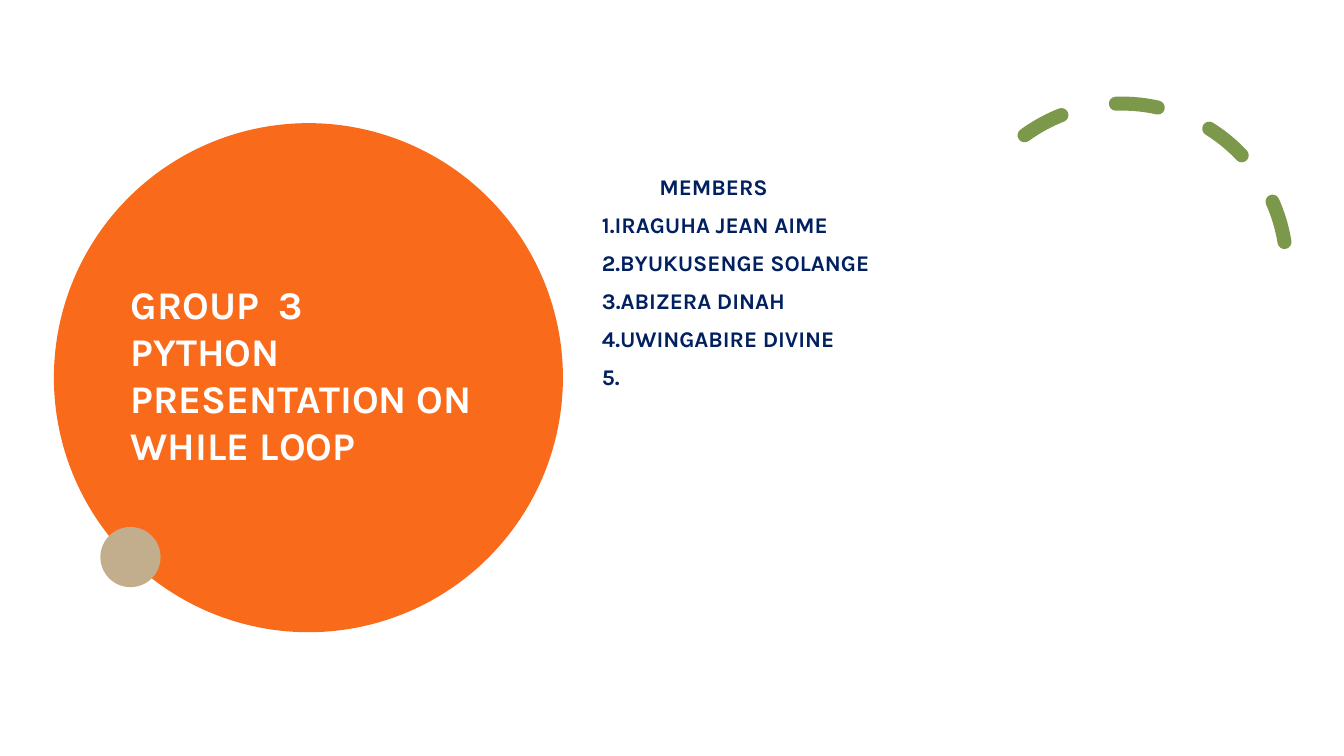
from lxml import etree
from pptx import Presentation
from pptx.dml.color import RGBColor
from pptx.enum.dml import MSO_LINE
from pptx.enum.shapes import MSO_SHAPE
from pptx.enum.text import MSO_ANCHOR
from pptx.util import Pt

ELLIPSE, ARC = MSO_SHAPE.OVAL, MSO_SHAPE.ARC
TOP, MIDDLE = MSO_ANCHOR.TOP, MSO_ANCHOR.MIDDLE
DASH = MSO_LINE.DASH

ORANGE = RGBColor(0xF9, 0x6A, 0x1B)
WHITE = RGBColor(0xFF, 0xFF, 0xFF)
NAVY = RGBColor(0x00, 0x20, 0x60)
GREEN = RGBColor(0x7C, 0x98, 0x4A)
SAND = RGBColor(0xC2, 0xAD, 0x8D)

MEMBERS = [
    "1.IRAGUHA JEAN AIME",
    "2.BYUKUSENGE SOLANGE",
    "3.ABIZERA DINAH",
    "4.UWINGABIRE DIVINE",
    "5.",
]


class SlideBuilder:
    font = "Karla"

    def __init__(self, slide):
        self.slide = slide

    def shape(self, kind, left, top, size):
        shape = self.slide.shapes.add_shape(kind, Pt(left), Pt(top), Pt(size), Pt(size))
        shape.shadow.inherit = False
        return shape

    def circle(self, left, top, size, color):
        circle = self.shape(ELLIPSE, left, top, size)
        circle.fill.solid()
        circle.fill.fore_color.rgb = color
        circle.line.fill.background()

    def dashed_arc(self, left, top, size, rotation, start, end, color, weight):
        """Draw a round-capped dashed arc; start and end are in degrees."""
        arc = self.shape(ARC, left, top, size)
        arc.rotation = rotation
        for index, angle in enumerate((start, end)):
            arc.adjustments[index] = angle * 0.6
        arc.fill.background()
        arc.line.color.rgb = color
        arc.line.width = Pt(weight)
        arc.line.dash_style = DASH
        line = arc.line._get_or_add_ln()
        line.set("cap", "rnd")
        etree.SubElement(line, line.tag.replace("}ln", "}round"))

    def text_box(self, left, top, width, height, anchor):
        frame = self.slide.shapes.add_textbox(Pt(left), Pt(top), Pt(width), Pt(height)).text_frame
        frame.word_wrap = True
        frame.vertical_anchor = anchor
        return frame

    def run(self, paragraph, text, size, color):
        run = paragraph.add_run()
        run.text = text
        run.font.name = self.font
        run.font.size = Pt(size)
        run.font.bold = True
        run.font.color.rgb = color

    def title(self, lines, left, top, width, height):
        paragraph = self.text_box(left, top, width, height, MIDDLE).paragraphs[0]
        for index, line in enumerate(lines):
            if index:
                paragraph.add_line_break()
            self.run(paragraph, line, 28, WHITE)

    def member_list(self, heading, members, left, top, width, height):
        frame = self.text_box(left, top, width, height, TOP)
        heading_line = frame.paragraphs[0]
        heading_line._p.get_or_add_pPr().set("marL", str(Pt(41)))
        self.run(heading_line, heading, 16, NAVY)
        for member in members:
            paragraph = frame.add_paragraph()
            paragraph.space_before = Pt(8)
            self.run(paragraph, member, 16, NAVY)


def main():
    deck = Presentation()
    deck.slide_width, deck.slide_height = Pt(960), Pt(540)
    builder = SlideBuilder(deck.slides.add_slide(deck.slide_layouts[6]))

    builder.circle(38.5, 88, 363.6, ORANGE)
    builder.title(["GROUP  3", "PYTHON PRESENTATION ON WHILE LOOP"], 86.4, 104.5, 290.2, 325.4)
    builder.member_list("MEMBERS", MEMBERS, 422.9, 120.2, 435.6, 309.6)
    builder.dashed_arc(683.7, 74, 235.4, 330.2, 263.62, 29.69, GREEN, 10)
    builder.circle(71.7, 376.4, 43, SAND)

    deck.save("out.pptx")


if __name__ == "__main__":
    main()
